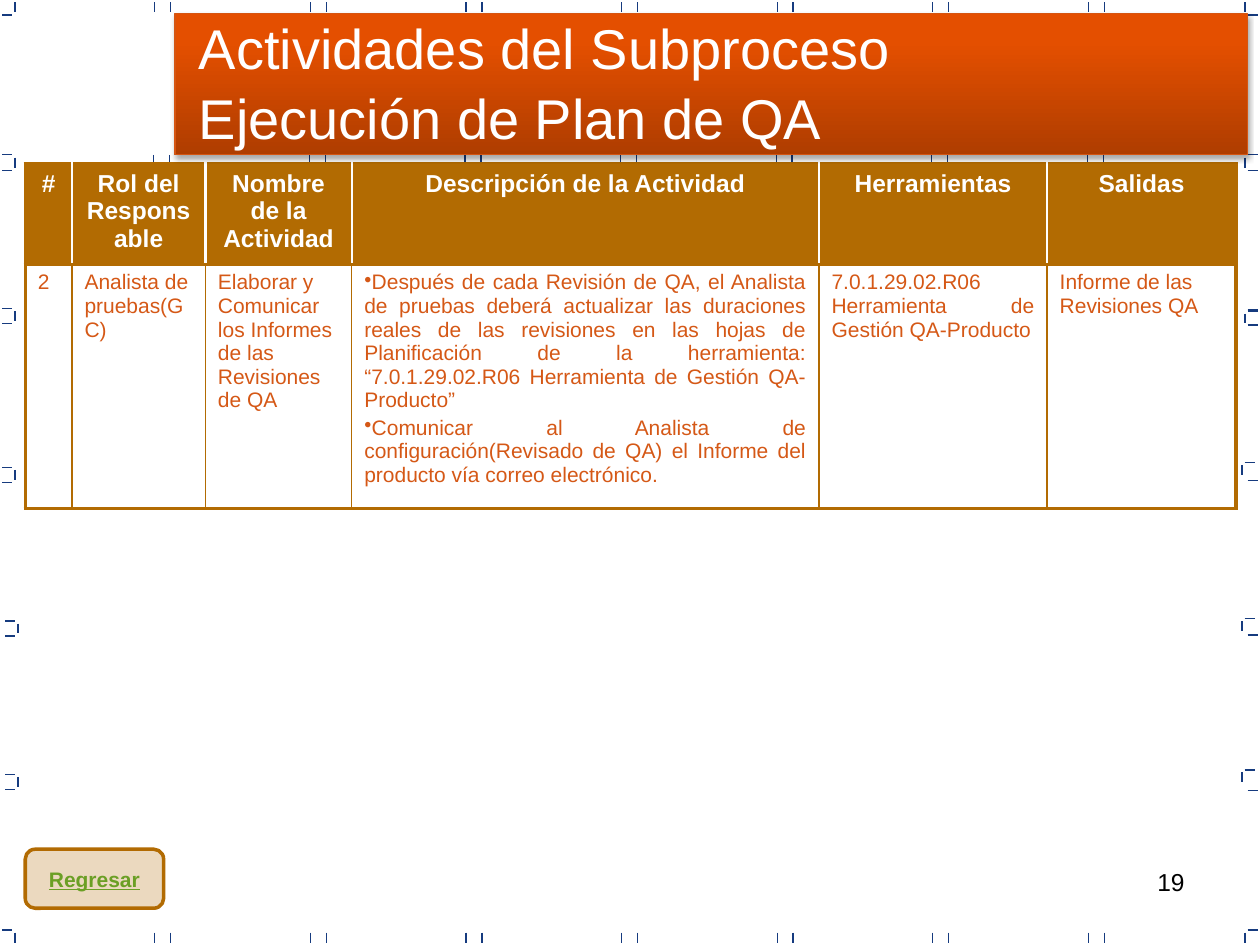
from copy import deepcopy
from lxml.etree import SubElement as Sub
from pptx import Presentation
from pptx.dml.color import RGBColor
from pptx.enum.shapes import MSO_CONNECTOR as Conn, MSO_SHAPE as Kind
from pptx.enum.text import MSO_ANCHOR as Anchor, PP_ALIGN as Align
from pptx.oxml.ns import qn
from pptx.util import Cm, Pt

WHITE = RGBColor(0xFF, 0xFF, 0xFF)
BLACK = RGBColor(0, 0, 0)
NAVY = RGBColor(0x16, 0x3B, 0x7F)
BROWN = RGBColor(0xB2, 0x6B, 0x02)
RUST = RGBColor(0xD5, 0x58, 0x16)
EDGE = RGBColor(0xD5, 0x55, 0x11)
GREEN = RGBColor(0x6B, 0x9F, 0x25)
BLEND = [(0, RGBColor(0xAF, 0x3D, 0)), (0.8, RGBColor(0xE4, 0x4F, 0)),
         (1, RGBColor(0xE5, 0x4F, 0))]
FONT = "Arial"
TICK = 0.2


class Sheet:
    """Holds the style and the current slide; all lengths are in cm."""

    def __init__(self, deck):
        self.slide = deck.slides.add_slide(deck.slide_layouts[6])
        self.shapes = self.slide.shapes

    def tick(self, x, y, wide=0, high=0):
        line = self.shapes.add_connector(
            Conn.STRAIGHT, Cm(x), Cm(y), Cm(x + wide), Cm(y + high))
        line.line.color.rgb = NAVY
        line.line.width = Pt(0.75)
        Sub(line.element.spPr, qn("a:effectLst"))

    def post(self, x, y):
        self.tick(x, y, high=TICK)

    def dash(self, x, y):
        self.tick(x, y, wide=TICK)

    def shape(self, kind, box, fill=None, edge=None, width=1):
        item = self.shapes.add_shape(kind, *map(Cm, box))
        item.shadow.inherit = False
        if fill is not None:
            item.fill.solid()
            item.fill.fore_color.rgb = fill
        if edge is None:
            item.line.fill.background()
        else:
            item.line.color.rgb = edge
            item.line.width = Pt(width)
        return item

    def blend(self, item, stops):
        item.fill.gradient()
        item.fill.gradient_angle = 90
        group = item.element.spPr.find(".//" + qn("a:gsLst"))
        group.append(deepcopy(group[-1]))
        for stop, (place, color) in zip(item.fill.gradient_stops, stops):
            stop.position = place
            stop.color.rgb = color

    def shade(self, item):
        glow = item.element.spPr.find(qn("a:effectLst"))
        cast = Sub(glow, qn("a:outerShdw"), blurRad=str(Pt(3.1)),
                   dist=str(Pt(1.8)), dir="5400000", rotWithShape="0")
        tone = Sub(cast, qn("a:srgbClr"), val=str(BLACK))
        Sub(tone, qn("a:alpha"), val="35000")

    def fade(self, item, part):
        tone = item.element.spPr.find(qn("a:solidFill"))[0]
        Sub(tone, qn("a:alpha"), val=str(part * 1000))

    def text(self, frame, lines, size, color, align=Align.LEFT, bold=False,
             under=False, gap=0, after=0, mark=None):
        for i, words in enumerate(lines):
            para = frame.add_paragraph() if i else frame.paragraphs[0]
            para.alignment = align
            para.space_before, para.space_after = Pt(gap), Pt(after)
            if mark:
                props = para._p.get_or_add_pPr()
                props.set("marL", "0")
                props.set("indent", "0")
                Sub(props, qn("a:buChar"), char=mark)
            run = para.add_run()
            run.text = words
            font = run.font
            font.name, font.size, font.bold = FONT, Pt(size), bold
            font.underline = under
            font.color.rgb = color

    def box(self, place, lines, size, color, **style):
        frame = self.shapes.add_textbox(*map(Cm, place)).text_frame
        frame.word_wrap = True
        self.text(frame, lines, size, color, **style)

    def grid(self, x, y, cols, rows):
        frame = self.shapes.add_table(len(rows), len(cols), Cm(x), Cm(y),
                                      Cm(sum(cols)), Cm(sum(rows)))
        table = frame.table
        table.first_row = table.horz_banding = False
        for col, wide in zip(table.columns, cols):
            col.width = Cm(wide)
        for row, high in zip(table.rows, rows):
            row.height = Cm(high)
        return table

    def rim(self, cell, sides):
        props = cell._tc.get_or_add_tcPr()
        for i, (side, (color, width)) in enumerate(zip("LRTB", sides)):
            line = Sub(props, qn("a:ln" + side), w=str(Pt(width)))
            Sub(Sub(line, qn("a:solidFill")), qn("a:srgbClr"), val=str(color))
            props.insert(i, line)


def frame_marks(page):
    # Ticks along the top, the bottom and under the title
    for i in range(7):
        for shift in (0, 0.32):
            x = 3.12 + 3.137 * i + shift
            page.post(x, 0.05)
            page.post(x, 18.8)
            page.post(x - 0.02, 3.12)
    # Corners and side marks
    for x, edge in ((0.3, 0.05), (25.1, 25.15)):
        for y in (0.05, 3.18, 18.8):
            page.post(x, y)
        for y in (0.3, 3.12, 3.43, 18.75):
            page.dash(edge, y)
    for x, y in ((0.3, 6.27), (0.3, 9.47), (0.36, 12.57), (0.36, 15.67)):
        page.post(x, y)
        page.dash(x - 0.25, y - 0.05)
        page.dash(x - 0.25, y + 0.25)
    for x, y in ((25.1, 6.32), (25.04, 9.37), (25.04, 12.52), (25.04, 15.57)):
        page.post(x, y)
        page.dash(x + 0.05, y - 0.05)
    for y in (6.25, 6.55, 9.68, 12.8, 15.93):
        page.dash(25.15, y)


HEADS = ["#", "Rol del Responsable", "Nombre de la Actividad",
         "Descripción de la Actividad", "Herramientas", "Salidas"]
CELLS = [
    (["2"], {}),
    (["Analista de pruebas(GC)"], {}),
    (["Elaborar y Comunicar los Informes de las Revisiones de QA"], {}),
    (["Después de cada Revisión de QA, el Analista de pruebas deberá "
      "actualizar las duraciones reales de las revisiones en las hojas de "
      "Planificación de la herramienta: “7.0.1.29.02.R06 Herramienta de "
      "Gestión QA-Producto”",
      "Comunicar al Analista de configuración(Revisado de QA) el Informe "
      "del producto vía correo electrónico."],
     {"align": Align.JUSTIFY, "mark": "•"}),
    (["7.0.1.29.02.R06 Herramienta de Gestión QA-Producto"],
     {"align": Align.JUSTIFY, "gap": 7.1, "after": 7.1}),
    (["Informe de las Revisiones QA"], {}),
]


def tasks(page):
    table = page.grid(0.51, 3.3, [0.94, 2.69, 2.95, 9.42, 4.6, 3.81],
                      [1.92, 4.62])
    thick, mid, thin = (BROWN, 2.25), (BROWN, 1.5), (BROWN, 1)
    pale = (WHITE, 1.5)
    last = len(HEADS) - 1
    for i, (head, (lines, style)) in enumerate(zip(HEADS, CELLS)):
        top, low = table.cell(0, i), table.cell(1, i)
        top.fill.solid()
        top.fill.fore_color.rgb = BROWN
        low.fill.background()
        page.text(top.text_frame, [head], 14, WHITE, Align.CENTER, True,
                  gap=2.8)
        page.text(low.text_frame, lines, 12, RUST, **{"gap": 2.4, **style})
        for cell, inner, up, down in ((top, pale, thick, mid),
                                      (low, thin, mid, thick)):
            left = inner if i else thick
            right = inner if i < last else thick
            page.rim(cell, (left, right, up, down))


def main():
    deck = Presentation()
    deck.slide_width, deck.slide_height = Cm(25.4), Cm(19.05)
    page = Sheet(deck)

    # Page number and frame
    page.box((18.21, 17.35, 5.92, 1.32), ["19"], 14, BLACK, align=Align.RIGHT)
    frame_marks(page)
    page.shape(Kind.RECTANGLE, (3.51, 0.33, 21.59, 2.79), NAVY)

    # Table of tasks
    tasks(page)

    # Return button
    key = page.shape(Kind.FLOWCHART_ALTERNATE_PROCESS,
                     (0.51, 17.12, 2.79, 1.19), BROWN, BROWN, 2)
    page.fade(key, 25)
    key.text_frame.word_wrap = False
    key.text_frame.vertical_anchor = Anchor.MIDDLE
    page.text(key.text_frame, ["Regresar"], 12, GREEN, Align.CENTER, True, True)

    # Title band
    band = page.shape(Kind.RECTANGLE, (3.53, 0.28, 21.62, 2.84),
                      edge=EDGE, width=0.75)
    page.blend(band, BLEND)
    page.shade(band)
    page.box((3.76, 0.15, 21.13, 2.97),
             ["Actividades del Subproceso", "Ejecución de Plan de QA"],
             32, WHITE, gap=1.5)

    deck.save("out.pptx")


if __name__ == "__main__":
    main()
